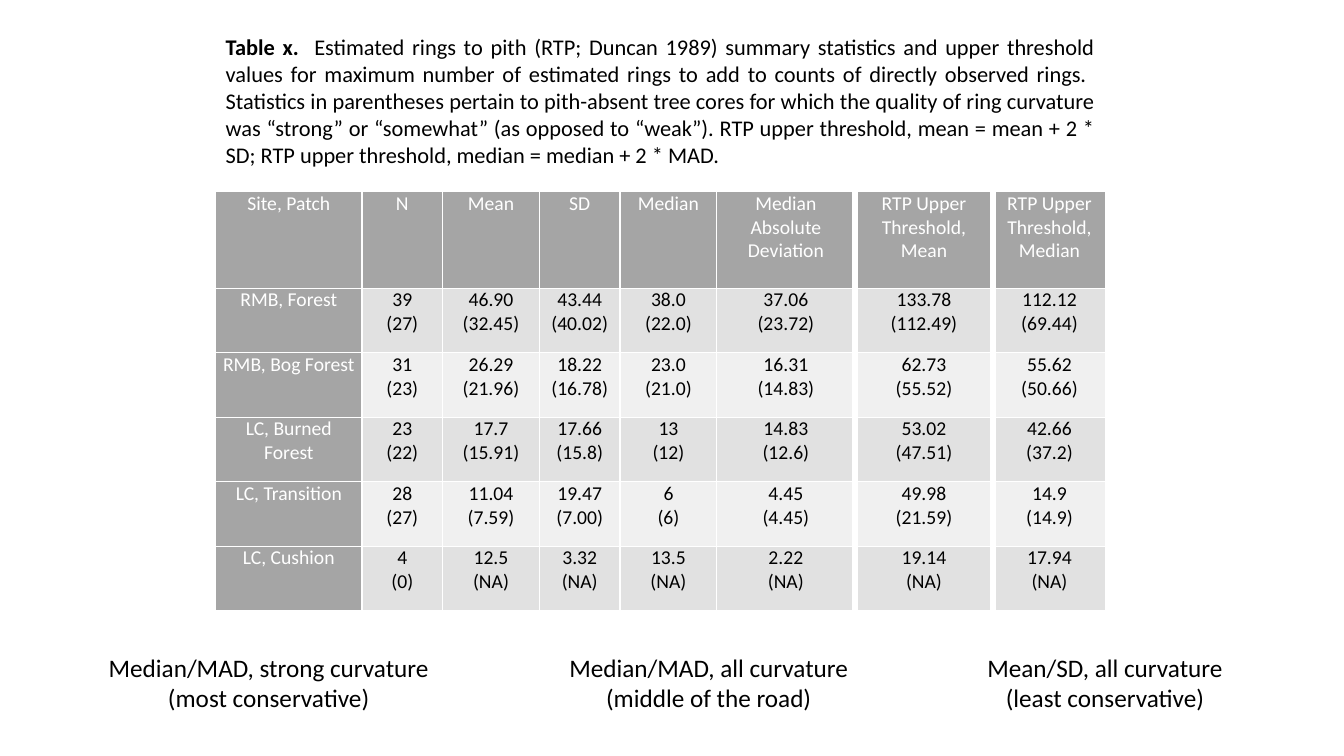
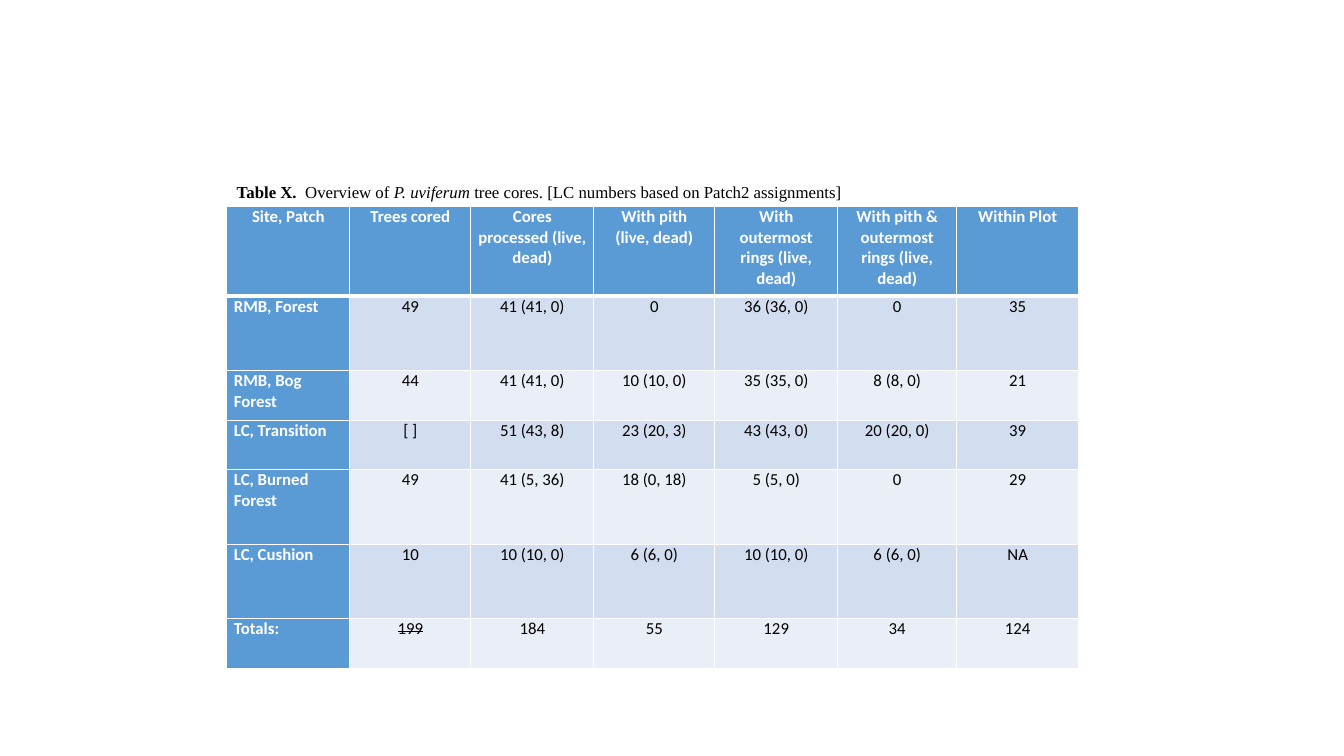
import pptx
import pptx.dml.color
import pptx.enum.text
import pptx.oxml
import pptx.oxml.ns
import pptx.util
from pptx.util import Inches

ALIGN = pptx.enum.text.PP_ALIGN
WHITE, BLACK = "FFFFFF", "000000"
GRAY = {"head": "A5A5A5", "bands": ("E1E1E1", "F0F0F0")}
BLUE = {"head": "5B9BD5", "bands": ("D2DEEF", "EAEFF7")}


def rgb(value):
    return pptx.dml.color.RGBColor.from_string(value)


class Deck:
    font = "Calibri"
    thin = 1

    def __init__(self):
        self.presentation = pptx.Presentation()
        self.presentation.slide_width = Inches(13.33)
        self.presentation.slide_height = Inches(7.5)
        self.slide = None

    def add_slide(self):
        self.slide = self.presentation.slides.add_slide(self.presentation.slide_layouts[6])

    def fill_frame(self, frame, paragraphs, align, size, color=BLACK, **style):
        for index, runs in enumerate(paragraphs):
            paragraph = frame.paragraphs[0] if index == 0 else frame.add_paragraph()
            paragraph.alignment = align
            for words, emphasis in runs:
                run = paragraph.add_run()
                run.text = words
                run.font.color.rgb = rgb(color)
                look = {"name": self.font, "size": pptx.util.Pt(size), "bold": False}
                for key, value in {**look, **style, **emphasis}.items():
                    setattr(run.font, key, value)

    def text(self, place, paragraphs, size, align=ALIGN.LEFT, wrap=True,
             anchor=pptx.enum.text.MSO_ANCHOR.TOP, **style):
        frame = self.slide.shapes.add_textbox(*map(Inches, place)).text_frame
        settings = {"word_wrap": wrap, "vertical_anchor": anchor,
                    "auto_size": pptx.enum.text.MSO_AUTO_SIZE.SHAPE_TO_FIT_TEXT}
        for key, value in settings.items():
            setattr(frame, key, value)
        self.fill_frame(frame, paragraphs, align, size, **style)

    def borders(self, cell, widths):
        properties = cell._tc.get_or_add_tcPr()
        for side in "LRTB":
            width = pptx.util.Pt(widths.get(side, self.thin))
            properties.append(pptx.oxml.parse_xml(
                f'<a:ln{side} {pptx.oxml.ns.nsdecls("a")} w="{int(width)}"><a:solidFill>'
                f'<a:srgbClr val="{WHITE}"/></a:solidFill></a:ln{side}>'))

    def table(self, corner, widths, heights, rows, palette, size,
              head_bold=False, name_align=ALIGN.CENTER, head_rule=1, wide_rules=()):
        extent = (sum(widths), sum(heights))
        grid = self.slide.shapes.add_table(
            len(rows), len(widths), *map(Inches, (*corner, *extent))).table
        grid.horz_banding = False
        for column, width in zip(grid.columns, widths):
            column.width = Inches(width)
        for line, height in zip(grid.rows, heights):
            line.height = Inches(height)
        margins = {"margin_left": 0.07, "margin_right": 0.07, "margin_top": 0, "margin_bottom": 0}
        for r, values in enumerate(rows):
            for c, value in enumerate(values):
                cell = grid.cell(r, c)
                for key, margin in margins.items():
                    setattr(cell, key, Inches(margin))
                rules = {"L": 4.5 if c in wide_rules else self.thin,
                         "R": 4.5 if c + 1 in wide_rules else self.thin,
                         "T": head_rule if r == 1 else self.thin,
                         "B": head_rule if r == 0 else self.thin}
                self.borders(cell, rules)
                heading = r == 0 or c == 0
                cell.fill.solid()
                cell.fill.fore_color.rgb = rgb(palette["head"] if heading else palette["bands"][(r - 1) % 2])
                self.fill_frame(cell.text_frame, [[(words, {})] for words in value.split("\n")],
                                name_align if r and c == 0 else ALIGN.CENTER, size,
                                WHITE if heading else BLACK, bold=heading and head_bold)
        return grid

    def strike(self, cell):
        for run in cell.text_frame.paragraphs[0].runs:
            run._r.get_or_add_rPr().set("strike", "sngStrike")


RINGS_TO_PITH = [
    ("Site, Patch", "N", "Mean", "SD", "Median", "Median Absolute Deviation",
     "RTP Upper Threshold, Mean", "RTP Upper Threshold, Median"),
    ("RMB, Forest", "39 (27)", "46.90 (32.45)", "43.44 (40.02)", "38.0 (22.0)",
     "37.06 (23.72)", "133.78 (112.49)", "112.12 (69.44)"),
    ("RMB, Bog Forest", "31 (23)", "26.29 (21.96)", "18.22 (16.78)", "23.0 (21.0)",
     "16.31 (14.83)", "62.73 (55.52)", "55.62 (50.66)"),
    ("LC, Burned Forest", "23 (22)", "17.7 (15.91)", "17.66 (15.8)", "13 (12)",
     "14.83 (12.6)", "53.02 (47.51)", "42.66 (37.2)"),
    ("LC, Transition", "28 (27)", "11.04 (7.59)", "19.47 (7.00)", "6 (6)",
     "4.45 (4.45)", "49.98 (21.59)", "14.9 (14.9)"),
    ("LC, Cushion", "4 (0)", "12.5 (NA)", "3.32 (NA)", "13.5 (NA)",
     "2.22 (NA)", "19.14 (NA)", "17.94 (NA)"),
]

TREE_CORES = [
    ("Site, Patch", "Trees cored", "Cores processed (live, dead)", "With pith\n(live, dead)",
     "With outermost rings (live, dead)", "With pith & outermost rings (live, dead)", "Within Plot"),
    ("RMB, Forest", "49", "41 (41, 0)", "0", "36 (36, 0)", "0", "35"),
    ("RMB, Bog Forest", "44", "41 (41, 0)", "10 (10, 0)", "35 (35, 0)", "8 (8, 0)", "21"),
    ("LC, Transition", "[ ]", "51 (43, 8)", "23 (20, 3)", "43 (43, 0)", "20 (20, 0)", "39"),
    ("LC, Burned Forest", "49", "41 (5, 36)", "18 (0, 18)", "5 (5, 0)", "0", "29"),
    ("LC, Cushion", "10", "10 (10, 0)", "6 (6, 0)", "10 (10, 0)", "6 (6, 0)", "NA"),
    ("Totals:", "199", "184", "55", "129", "34", "124"),
]

THRESHOLD_CHOICES = [
    (0.96, 3.41, "Median/MAD, strong curvature", "(most conservative)"),
    (5.53, 3, "Median/MAD, all curvature", "(middle of the road)"),
    (9.68, 2.56, "Mean/SD, all curvature", "(least conservative)"),
]


def rings_slide(deck):
    deck.add_slide()
    deck.text((2.14, 0.28, 8.82, 1.45), [[
        ("Table x.", {"bold": True}),
        ("  Estimated rings to pith (RTP; Duncan 1989) summary statistics and upper threshold "
         "values for maximum number of estimated rings to add to counts of directly observed "
         "rings.  Statistics in parentheses pertain to pith-absent tree cores for which the "
         "quality of ring curvature was “strong” or “somewhat” (as opposed to “weak”). RTP upper "
         "threshold, mean = mean + 2 * SD; RTP upper threshold, median = median + 2 * MAD.", {}),
    ]], 16, ALIGN.JUSTIFY)
    stacked = [[value.replace(" (", "\n(") for value in row] for row in RINGS_TO_PITH]
    deck.table((2.14, 1.9), (1.45, 0.8, 0.96, 0.8, 0.96, 1.37, 1.37, 1.12),
               (0.96,) + (0.64,) * 5, stacked, GRAY, 14, wide_rules=(6, 7))
    for left, width, measure, stance in THRESHOLD_CHOICES:
        deck.text((left, 6.42, width, 0.71), [[(measure, {})], [(stance, {})]],
                  18, ALIGN.CENTER, wrap=False)


def cores_slide(deck):
    deck.add_slide()
    cores = deck.table((2.25, 2.05), (1.22, 1.2, 1.22, 1.2, 1.22, 1.18, 1.21),
                       (0.89, 0.74, 0.49, 0.49, 0.74, 0.74, 0.49), TREE_CORES, BLUE, 12,
                       head_bold=True, name_align=ALIGN.LEFT, head_rule=3)
    deck.strike(cores.cell(6, 1))
    deck.text((2.25, 1.75, 8.47, 0.3), [[
        ("Table X.  ", {"bold": True}),
        ("Overview of ", {}),
        ("P. uviferum", {"italic": True}),
        (" tree cores. [LC numbers based on Patch2 assignments]", {}),
    ]], 12, anchor=pptx.enum.text.MSO_ANCHOR.MIDDLE, name="Times New Roman")


def main():
    deck = Deck()
    rings_slide(deck)
    cores_slide(deck)
    deck.presentation.save("out.pptx")


if __name__ == "__main__":
    main()
